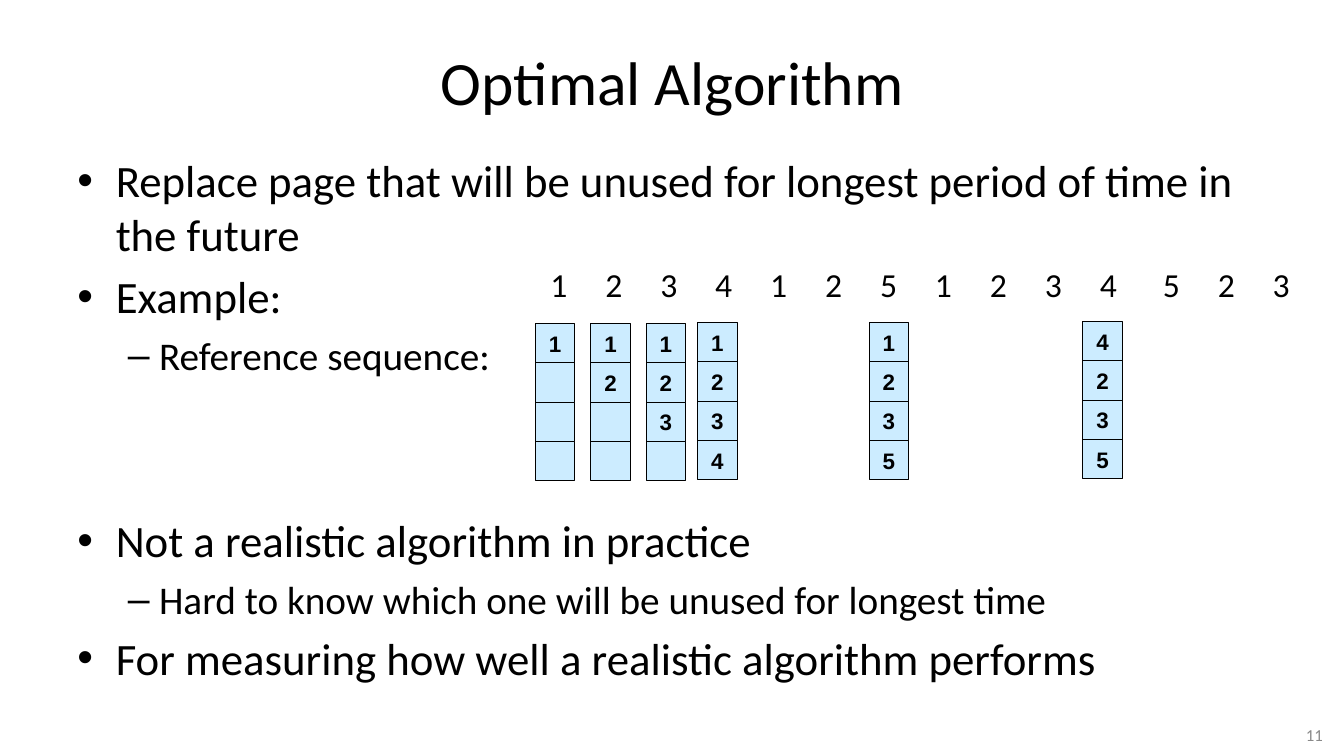
from lxml.etree import SubElement
from pptx import Presentation
from pptx.dml.color import RGBColor
from pptx.enum.shapes import MSO_SHAPE as Preset
from pptx.enum.text import MSO_ANCHOR as Anchor, PP_ALIGN as Align
from pptx.oxml.ns import qn
from pptx.util import Inches, Pt

BLACK = RGBColor(0x00, 0x00, 0x00)
GRAY = RGBColor(0x89, 0x89, 0x89)
PALE_BLUE = RGBColor(0xCC, 0xEC, 0xFF)

BULLET_LEVELS = [("•", 32, 0.38, 0.38), ("–", 28, 0.81, 0.31)]
BULLETS = [
    (0, 0, "Replace page that will be unused for longest period of time in the future"),
    (0, 6, "Example:"),
    (1, 6, "Reference sequence:"),
    (0, 96, "Not a realistic algorithm in practice"),
    (1, 6, "Hard to know which one will be unused for longest time"),
    (0, 6, "For measuring how well a realistic algorithm performs"),
]
REFERENCES = "12341251234523"
REFERENCE_STEP = 5.45 / 10
LATE_REFERENCE, LATE_SHIFT = 11, 0.08
FRAME_COUNT, FRAME_SIZE = 4, 0.39
FRAME_STACKS = [
    (5.31, 3.21, "1"),
    (5.86, 3.21, "12"),
    (6.41, 3.21, "123"),
    (6.92, 3.2, "1234"),
    (8.62, 3.2, "1235"),
    (10.74, 3.19, "4235"),
]


class SlideBuilder:
    """Draws styled elements on one title-only slide."""

    def __init__(self, presentation):
        self.slide = presentation.slides.add_slide(presentation.slide_layouts[5])
        self.text_font = "Calibri"
        self.frame_font = "Arial"

    def style(self, paragraph, size, color=BLACK, name=None, bold=False, align=Align.LEFT):
        font = paragraph.font
        font.name = name or self.text_font
        font.size = Pt(size)
        font.bold = bold
        font.color.rgb = color
        paragraph.alignment = align

    def title(self, text, left, top, width, height):
        shape = self.slide.shapes.title
        shape.left, shape.top = Inches(left), Inches(top)
        shape.width, shape.height = Inches(width), Inches(height)
        shape.text_frame.text = text
        shape.text_frame.vertical_anchor = Anchor.MIDDLE
        self.style(shape.text_frame.paragraphs[0], 44, align=Align.CENTER)

    def text_box(self, left, top, width, height, anchor=Anchor.TOP):
        shape = self.slide.shapes.add_textbox(
            Inches(left), Inches(top), Inches(width), Inches(height))
        shape.text_frame.word_wrap = True
        shape.text_frame.vertical_anchor = anchor
        return shape.text_frame

    def bullets(self, items, *box):
        text_frame = self.text_box(*box)
        for index, (level, space, text) in enumerate(items):
            paragraph = text_frame.add_paragraph() if index else text_frame.paragraphs[0]
            symbol, size, indent, hanging = BULLET_LEVELS[level]
            paragraph.text = text
            paragraph.level = level
            paragraph.space_before = Pt(space)
            self.style(paragraph, size)
            properties = paragraph._p.get_or_add_pPr()
            properties.set("marL", str(Inches(indent)))
            properties.set("indent", str(-Inches(hanging)))
            bullet_font = SubElement(properties, qn("a:buFont"))
            bullet_font.set("typeface", "Arial")
            SubElement(properties, qn("a:buChar")).set("char", symbol)
            properties.append(properties.find(qn("a:defRPr")))

    def reference_row(self, references, *box):
        paragraph = self.text_box(*box).paragraphs[0]
        paragraph.text = "\t".join(references)
        self.style(paragraph, 24)
        properties = paragraph._p.get_or_add_pPr()
        tab_list = SubElement(properties, qn("a:tabLst"))
        for index in range(1, len(references)):
            shift = LATE_SHIFT if index >= LATE_REFERENCE else 0
            position = Inches(index * REFERENCE_STEP + shift)
            SubElement(tab_list, qn("a:tab"), pos=str(position), algn="l")
        properties.append(properties.find(qn("a:defRPr")))

    def frame_stack(self, left, top, pages):
        for index in range(FRAME_COUNT):
            shape = self.slide.shapes.add_shape(
                Preset.RECTANGLE, Inches(left), Inches(top + index * FRAME_SIZE),
                Inches(FRAME_SIZE), Inches(FRAME_SIZE))
            shape.shadow.inherit = False
            shape.fill.solid()
            shape.fill.fore_color.rgb = PALE_BLUE
            shape.line.color.rgb = BLACK
            shape.line.width = Pt(0.75)
            if index < len(pages):
                text_frame = shape.text_frame
                text_frame.word_wrap = False
                text_frame.vertical_anchor = Anchor.MIDDLE
                text_frame.text = pages[index]
                self.style(text_frame.paragraphs[0], 16, name=self.frame_font,
                           bold=True, align=Align.CENTER)

    def slide_number(self, number, *box):
        paragraph = self.text_box(*box, anchor=Anchor.MIDDLE).paragraphs[0]
        paragraph.text = number
        self.style(paragraph, 12, GRAY, align=Align.RIGHT)


def main():
    presentation = Presentation()
    presentation.slide_width = Inches(13.33)
    presentation.slide_height = Inches(7.5)
    builder = SlideBuilder(presentation)
    builder.title("Optimal Algorithm", 0.67, 0.3, 12, 1.01)
    builder.bullets(BULLETS, 0.67, 1.47, 12, 5.51)
    builder.slide_number("11", 11.79, 7.14, 1.43, 0.29)
    builder.reference_row(REFERENCES, 5.36, 2.57, 7.69, 0.5)
    for left, top, pages in FRAME_STACKS:
        builder.frame_stack(left, top, pages)
    presentation.save("out.pptx")


if __name__ == "__main__":
    main()
